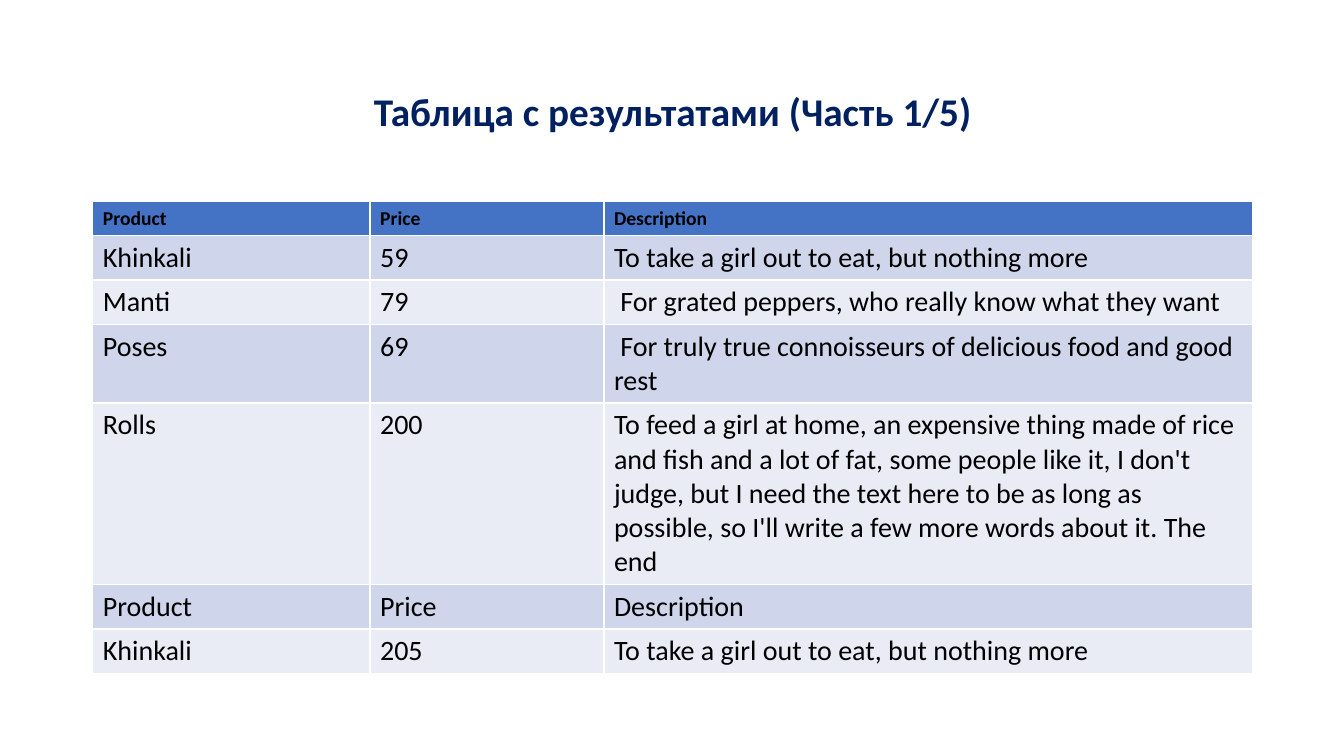
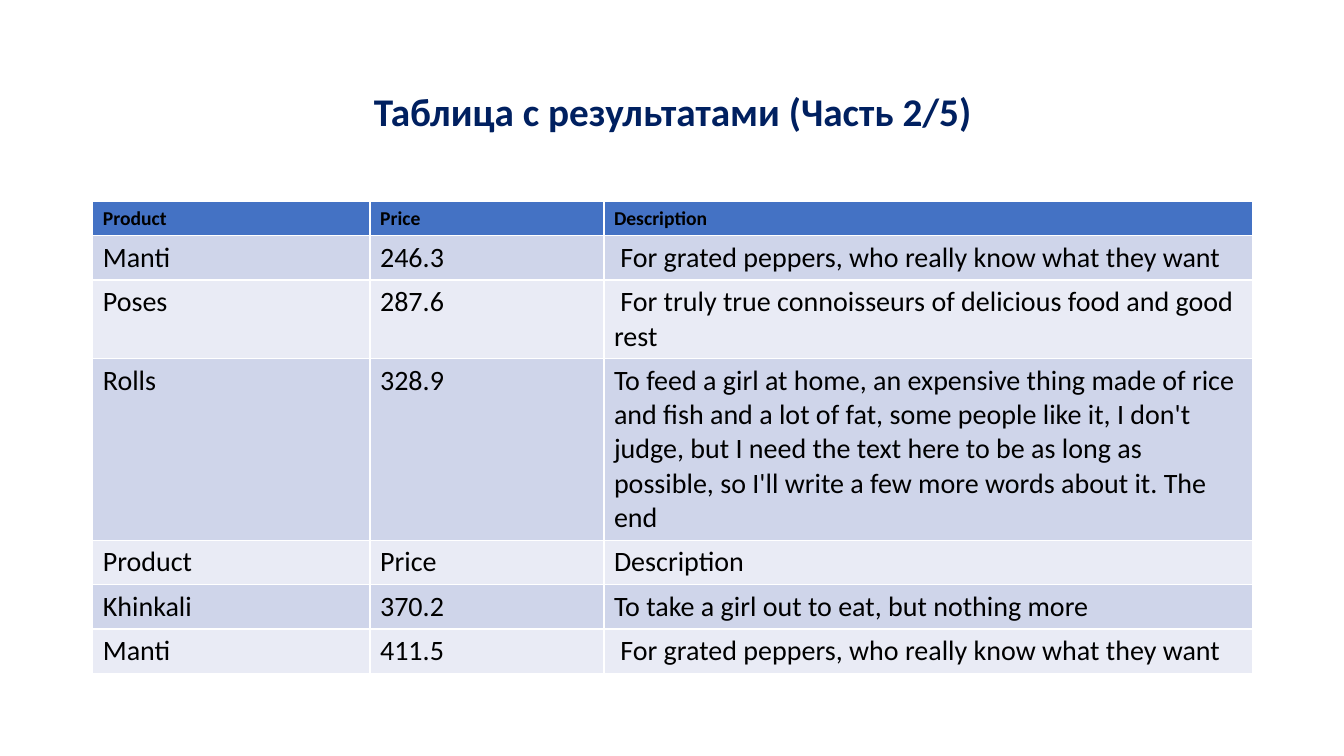
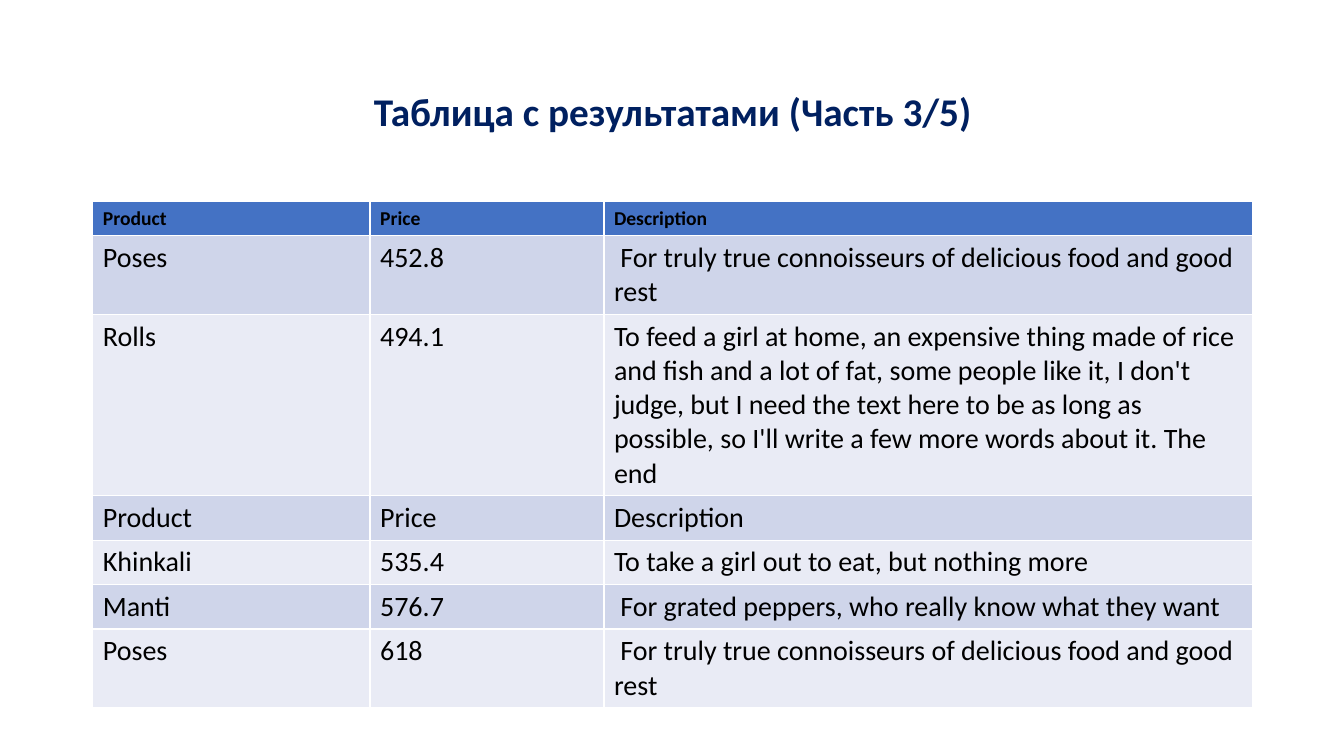
from itertools import cycle

from pptx import Presentation
from pptx.dml.color import RGBColor
from pptx.enum.text import MSO_ANCHOR, PP_ALIGN
from pptx.util import Inches, Pt

# Colours and fonts
NAVY = RGBColor(0x00, 0x20, 0x60)
BLACK = RGBColor(0x00, 0x00, 0x00)
BLUE = RGBColor(0x44, 0x72, 0xC4)
BANDS = (RGBColor(0xCF, 0xD5, 0xEA), RGBColor(0xE9, 0xEB, 0xF5))
FACE = "Calibri"
TITLE = {"name": FACE, "size": Pt(28), "bold": True}
HEAD = {"name": FACE, "size": Pt(14), "bold": True}
BODY = {"name": FACE, "size": Pt(20), "bold": False}

# Page grid
WIDE, HIGH = Inches(13.33), Inches(7.5)
LEFT, SPAN = Inches(0.92), Inches(11.5)
COLS = (2.75, 2.32, 6.43)
ROW = Inches(0.28)
PER_PAGE, PARTS = 6, 5

# Content: the menu repeats, with its heading as the fifth row
LABELS = ("Product", "Price", "Description")
MENU = (
    ("Khinkali", "To take a girl out to eat, but nothing more"),
    ("Manti", " For grated peppers, who really know what they want"),
    ("Poses", " For truly true connoisseurs of delicious food and good rest"),
    ("Rolls", "To feed a girl at home, an expensive thing made of rice and fish "
              "and a lot of fat, some people like it, I don't judge, but I need "
              "the text here to be as long as possible, so I'll write a few more "
              "words about it. The end"),
    ("Product", "Description"),
)
PRICES = (
    "59", "79", "69", "200", "Price", "205",
    "246.3", "287.6", "328.9", "Price", "370.2", "411.5",
    "452.8", "494.1", "Price", "535.4", "576.7", "618",
)


def style(font, look, color):
    for key, value in look.items():
        setattr(font, key, value)
    font.color.rgb = color


def add_title(slide, text):
    title = slide.shapes.title
    box = {"left": LEFT, "top": Inches(0.4), "width": SPAN, "height": Inches(1.45)}
    for key, value in box.items():
        setattr(title, key, value)
    frame = title.text_frame
    frame.vertical_anchor = MSO_ANCHOR.MIDDLE
    frame.text = text
    para = frame.paragraphs[0]
    para.alignment = PP_ALIGN.CENTER
    para.line_spacing = 0.9
    style(para.runs[0].font, TITLE, NAVY)


def fill_row(cells, texts, look, color):
    for cell, text in zip(cells, texts):
        cell.fill.solid()
        cell.fill.fore_color.rgb = color
        cell.text = text
        style(cell.text_frame.paragraphs[0].runs[0].font, look, BLACK)


def add_grid(slide, rows):
    count = len(rows) + 1
    table = slide.shapes.add_table(
        count, len(COLS), LEFT, Inches(2), SPAN, ROW * count).table
    for col, width in zip(table.columns, COLS):
        col.width = Inches(width)
    head, *body = table.rows
    fill_row(head.cells, LABELS, HEAD, BLUE)
    for row, texts, band in zip(body, rows, cycle(BANDS)):
        fill_row(row.cells, texts, BODY, band)


def main():
    deck = Presentation()
    deck.slide_width, deck.slide_height = WIDE, HIGH
    rows = [(name, price, note)
            for price, (name, note) in zip(PRICES, cycle(MENU))]
    for part, start in enumerate(range(0, len(rows), PER_PAGE), 1):
        slide = deck.slides.add_slide(deck.slide_layouts[5])
        add_title(slide, f"Таблица с результатами (Часть {part}/{PARTS})")
        add_grid(slide, rows[start:start + PER_PAGE])
    deck.save("out.pptx")


if __name__ == "__main__":
    main()
